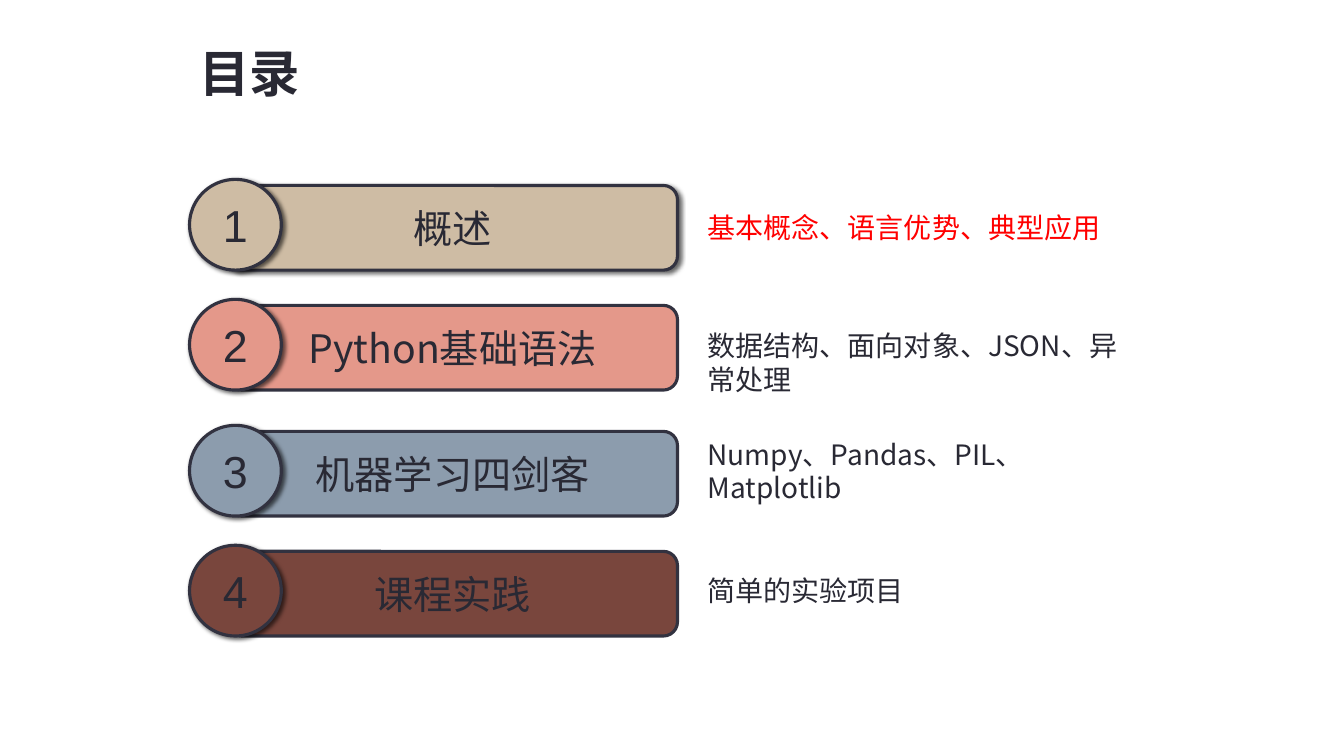
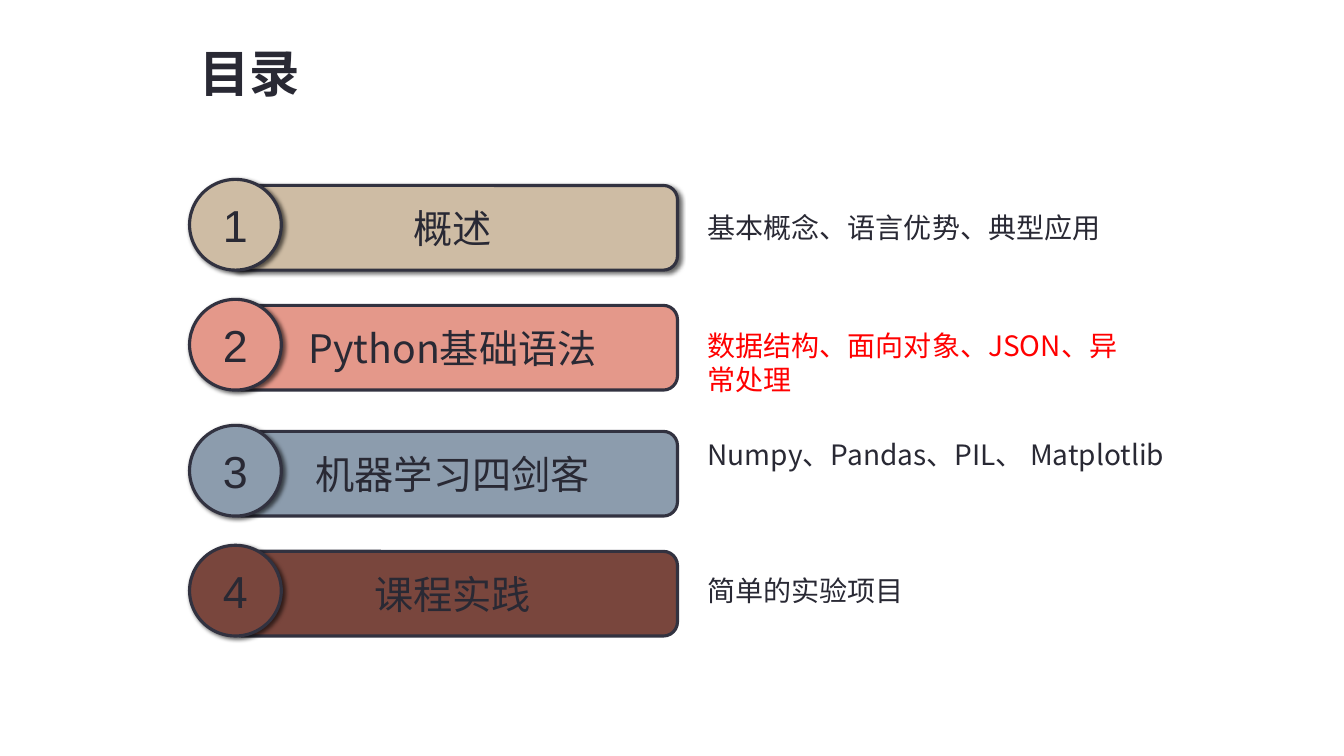
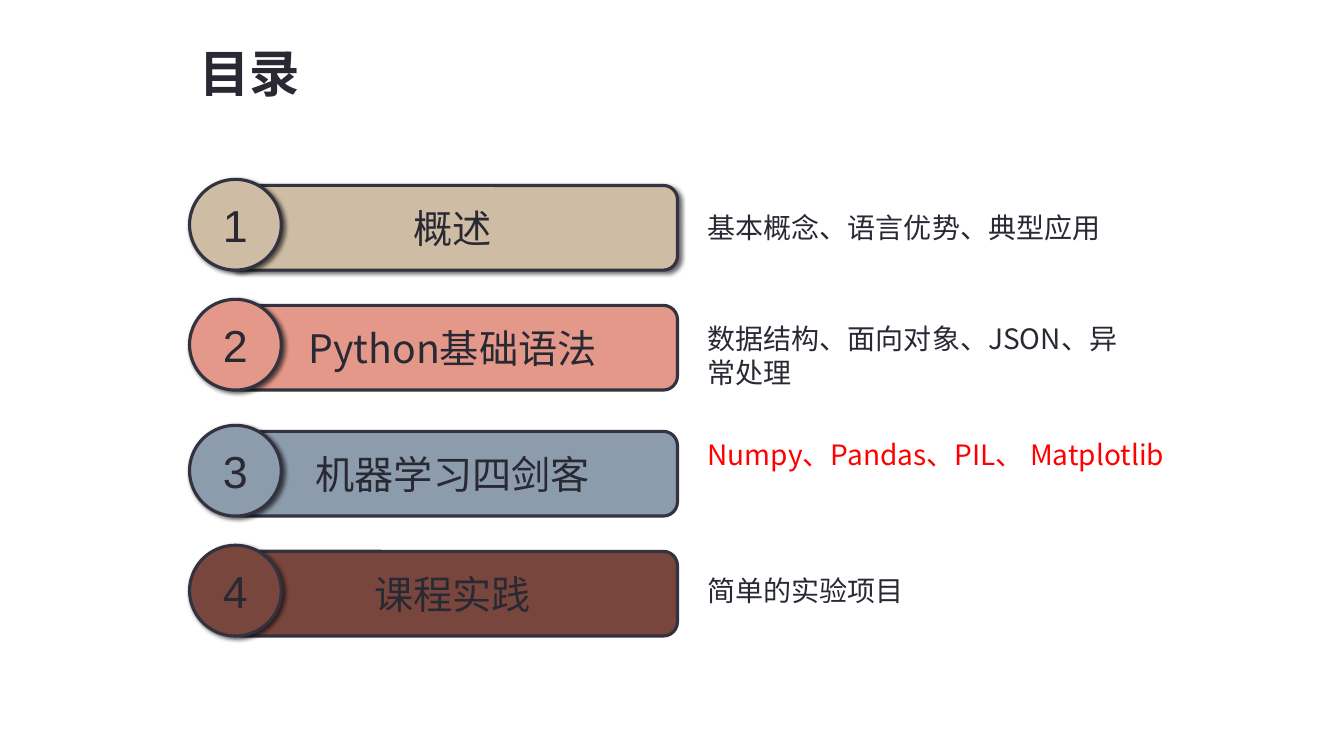
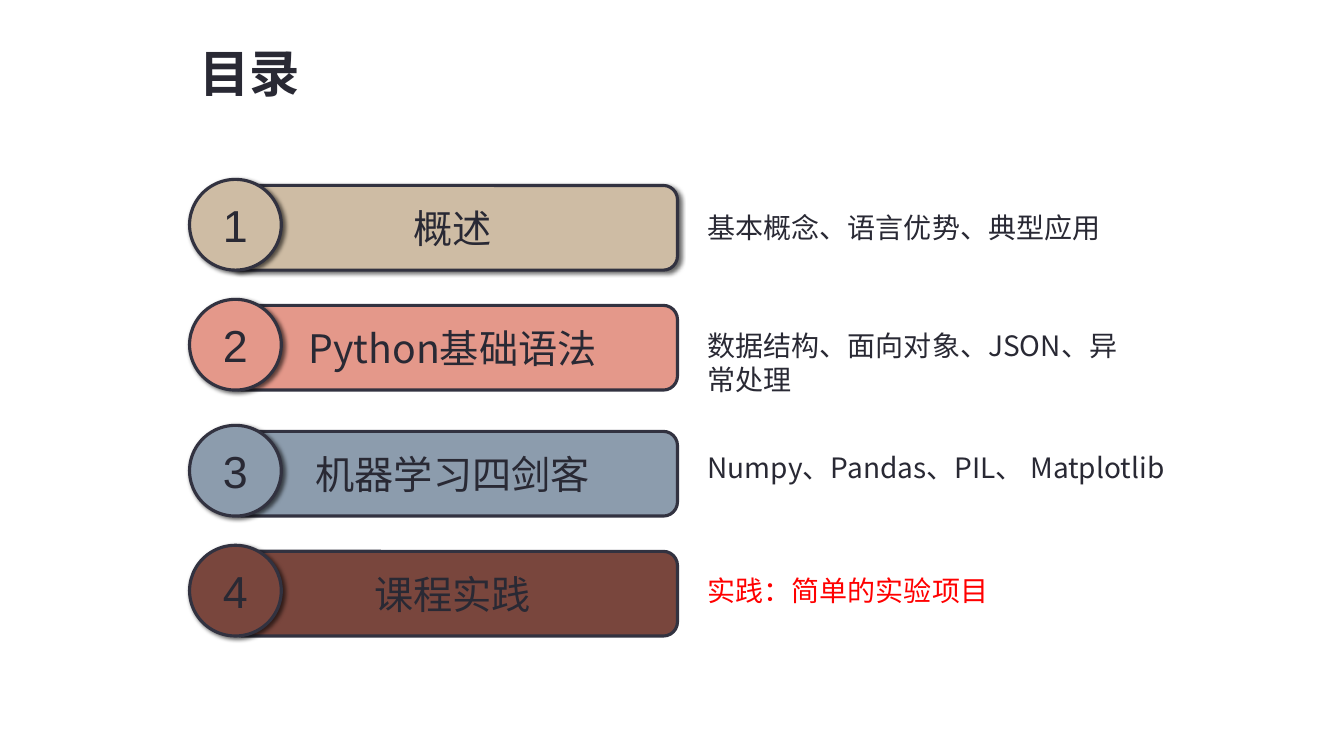
from lxml.etree import SubElement
from pptx import Presentation
from pptx.dml.color import RGBColor
from pptx.enum.shapes import MSO_SHAPE
from pptx.enum.text import MSO_ANCHOR, MSO_AUTO_SIZE, PP_ALIGN
from pptx.oxml.ns import qn
from pptx.util import Inches, Pt

# Shared style
CJK, LATIN = "Noto Sans CJK SC", "Arial"
INK, OUTLINE, ACCENT = "292934", "323240", "FF0000"

# Grid: columns as (left, width) and the top of each row, in inches
BADGE_COL, BAR_COL, NOTE_COL = (1.88, 0.91), (2.26, 4.46), (6.92, 4.32)
ROW_TOPS = [1.78, 2.97, 4.22, 5.41]
BADGE_H, BAR_H, LINE_H = 0.9, 0.84, 0.44
BAR_DROP = BADGE_H - BAR_H

# Chapters: name, fill, note, drop of the note below the row top
CHAPTERS = [
    ("概述", "CEBCA4", "基本概念、语言优势、典型应用", 0.26),
    ("Python基础语法", "E4988A", "数据结构、面向对象、JSON、异常处理", 0.24),
    ("机器学习四剑客", "8C9CAD", "Numpy、Pandas、PIL、 Matplotlib", 0.07),
    ("课程实践", "79463D", "简单的实验项目", 0.23),
]

# One dict per slide: what differs in the notes, by chapter number
NOTE_CHANGES = [
    {},
    {3: {"width": 5.06}},
    {2: {"drop": 0.17}, 3: {"width": 5.34}},
    {3: {"drop": 0.2, "width": 5.01}, 4: {"text": "实践：简单的实验项目"}},
]


def rgb(value):
    return RGBColor.from_string(value)


def write(shape, text, size=20, font=CJK, color=INK, bold=False,
          align=PP_ALIGN.LEFT, anchor=MSO_ANCHOR.TOP):
    tf = shape.text_frame
    tf.word_wrap = True
    tf.vertical_anchor = anchor
    p = tf.paragraphs[0]
    p.alignment = align
    r = p.add_run()
    r.text = text
    r.font.size, r.font.bold, r.font.name = Pt(size), bold, font
    SubElement(r.font._element, qn("a:ea"), typeface=font)
    r.font.color.rgb = rgb(color)


def add_shadow(shape):
    effects = shape._element.spPr.find(qn("a:effectLst"))
    shadow = SubElement(effects, qn("a:outerShdw"), blurRad=str(Pt(3)),
                        dist=str(Pt(2)), dir=str(45 * 60000),
                        algn="tl", rotWithShape="0")
    black = SubElement(shadow, qn("a:srgbClr"), val="000000")
    SubElement(black, qn("a:alpha"), val="60000")


def add_label(s, kind, col, top, height, fill, text, shadow=True, **fmt):
    left, width = col
    sp = s.shapes.add_shape(kind, Inches(left), Inches(top),
                            Inches(width), Inches(height))
    sp.fill.solid()
    sp.fill.fore_color.rgb = rgb(fill)
    sp.line.color.rgb = rgb(OUTLINE)
    sp.line.width = Pt(2.25)
    sp.shadow.inherit = False
    if shadow:
        add_shadow(sp)
    write(sp, text, align=PP_ALIGN.CENTER, anchor=MSO_ANCHOR.MIDDLE, **fmt)


def add_text(s, left, top, width, height, text, **fmt):
    sp = s.shapes.add_textbox(Inches(left), Inches(top),
                              Inches(width), Inches(height))
    write(sp, text, **fmt)
    sp.text_frame.auto_size = MSO_AUTO_SIZE.SHAPE_TO_FIT_TEXT


def add_chapter(s, number, top, chapter, change, current):
    name, fill, note, drop = chapter
    # Bar with its numbered badge; only the first bar casts a shadow
    add_label(s, MSO_SHAPE.ROUNDED_RECTANGLE, BAR_COL, top + BAR_DROP, BAR_H,
              fill, name, shadow=number == 1, size=28)
    add_label(s, MSO_SHAPE.OVAL, BADGE_COL, top, BADGE_H,
              fill, str(number), size=32, font=LATIN)
    # Note, highlighted for the current chapter
    left, width = NOTE_COL
    add_text(s, left, top + change.get("drop", drop),
             change.get("width", width), LINE_H, change.get("text", note),
             color=ACCENT if current else INK)


def add_contents(prs, current, changes):
    s = prs.slides.add_slide(prs.slide_layouts[6])
    add_text(s, BADGE_COL[0], 0.37, 1.27, 0.71, "目录", size=36, bold=True)
    for number, (top, chapter) in enumerate(zip(ROW_TOPS, CHAPTERS), 1):
        add_chapter(s, number, top, chapter, changes.get(number, {}),
                    number == current)


def main():
    prs = Presentation()
    prs.slide_width, prs.slide_height = Inches(13.33), Inches(7.5)
    for current, changes in enumerate(NOTE_CHANGES, 1):
        add_contents(prs, current, changes)
    prs.save("out.pptx")


if __name__ == "__main__":
    main()
